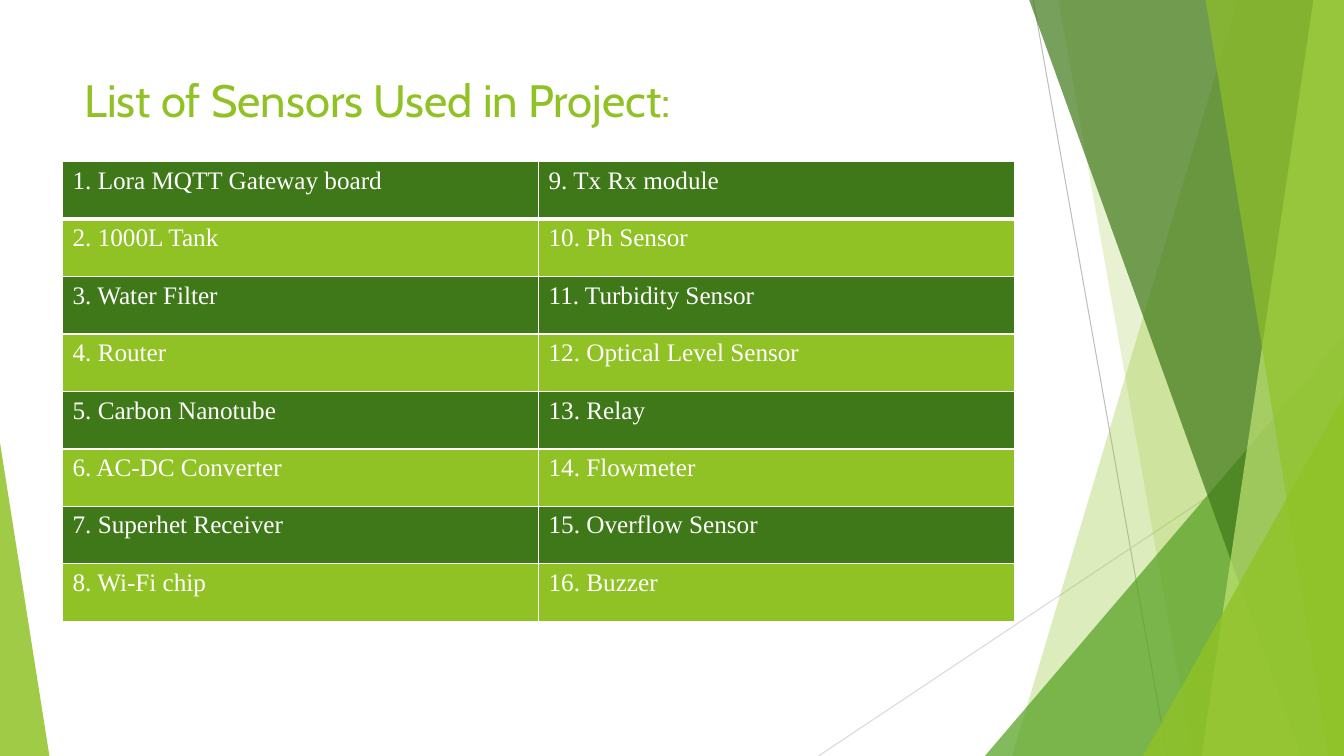
from dataclasses import dataclass

import lxml.etree
import pptx
import pptx.dml.color
import pptx.enum.shapes
import pptx.enum.text
import pptx.oxml.ns
import pptx.util


@dataclass(frozen=True)
class Theme:
    lime: str = "90C226"
    green: str = "54A021"
    forest: str = "3F7819"
    pale: str = "C0E474"
    white: str = "FFFFFF"
    title_font: str = "Cabin"
    table_font: str = "Times New Roman"
    title_size: float = 32.4
    table_size: float = 18
    thin: float = 1
    thick: float = 3


THEME = Theme()
WIDTH, HEIGHT = pptx.util.Inches(13.333), pptx.util.Inches(7.5)


# Positions are percentages of the slide's width (x) and height (y).
@dataclass(frozen=True)
class Ray:
    start: tuple[float, float]
    end: tuple[float, float]
    color: str


@dataclass(frozen=True)
class Shard:
    """A panel that slants from top_x to bottom_x and fills up to the right edge."""
    top_x: float
    bottom_x: float
    color: str
    opacity: int


@dataclass(frozen=True)
class Wedge:
    """A right triangle on the bottom edge; peak is 0 for left, 1 for right."""
    left: float
    top: float
    width: float
    peak: int
    color: str
    opacity: int


RAYS = [
    Ray((76.88, 0), (86.85, 100), "BFBFBF"),
    Ray((100, 53.73), (60.9, 100), "D9D9D9"),
]
PANELS = [
    Shard(92.1, 75.3, THEME.lime, 30),
    Shard(78.75, 88.73, THEME.lime, 20),
    Wedge(73.28, 44.4, 26.72, 1, THEME.green, 72),
    Shard(76.58, 96.83, THEME.forest, 70),
    Shard(97.73, 89.4, THEME.pale, 70),
    Shard(89.7, 98.85, THEME.lime, 65),
    Wedge(85.05, 52.4, 14.95, 1, THEME.lime, 80),
    Wedge(0, 58.53, 3.68, 0, THEME.lime, 85),
]
SENSORS = [
    "Lora MQTT Gateway board", "1000L Tank", "Water Filter", "Router",
    "Carbon Nanotube", "AC-DC Converter", "Superhet Receiver", "Wi-Fi chip",
    "Tx Rx module", "Ph Sensor", "Turbidity Sensor", "Optical Level Sensor",
    "Relay", "Flowmeter", "Overflow Sensor", "Buzzer",
]
COLUMNS = 2
ROWS = len(SENSORS) // COLUMNS
ROW_HEIGHT = 7.6


def across(percent: float) -> int:
    return round(WIDTH * percent / 100)


def down(percent: float) -> int:
    return round(HEIGHT * percent / 100)


def rgb(color: str) -> pptx.dml.color.RGBColor:
    return pptx.dml.color.RGBColor.from_string(color)


def add_child(parent, tag: str, **attributes: str):
    return lxml.etree.SubElement(parent, pptx.oxml.ns.qn(tag), **attributes)


def write(frame, text: str, *, font: str, size: float, color: str) -> None:
    para = frame.paragraphs[0]
    para.alignment = pptx.enum.text.PP_ALIGN.LEFT
    span = para.add_run()
    span.text = text
    span.font.name = font
    span.font.size = pptx.util.Pt(size)
    span.font.color.rgb = rgb(color)


def draw_ray(page, ray: Ray) -> None:
    (x1, y1), (x2, y2) = ray.start, ray.end
    line = page.shapes.add_connector(
        pptx.enum.shapes.MSO_CONNECTOR.STRAIGHT,
        across(x1), down(y1), across(x2), down(y2))
    line.line.color.rgb = rgb(ray.color)
    line.line.width = pptx.util.Pt(0.75)
    add_child(line._element.spPr, "a:effectLst")


def draw_panel(page, panel: Shard | Wedge) -> None:
    if isinstance(panel, Shard):
        outline = page.shapes.build_freeform(across(panel.top_x), 0)
        outline.add_line_segments(
            [(WIDTH, 0), (WIDTH, HEIGHT), (across(panel.bottom_x), HEIGHT)], close=True)
        shape = outline.convert_to_shape()
    else:
        shape = page.shapes.add_shape(
            pptx.enum.shapes.MSO_SHAPE.ISOSCELES_TRIANGLE,
            across(panel.left), down(panel.top),
            across(panel.width), down(100 - panel.top))
        shape.adjustments[0] = panel.peak
    shape.shadow.inherit = False
    shape.line.fill.background()
    shape.fill.solid()
    shape.fill.fore_color.rgb = rgb(panel.color)
    tint = shape._element.spPr.find(".//" + pptx.oxml.ns.qn("a:srgbClr"))
    add_child(tint, "a:alpha", val=str(panel.opacity * 1000))


def add_border(cell, side: str, width: float) -> None:
    properties = cell._tc.get_or_add_tcPr()
    border = add_child(properties, f"a:ln{side}", w=str(pptx.util.Pt(width)))
    add_child(add_child(border, "a:solidFill"), "a:srgbClr", val=THEME.white)


def draw_title(page) -> None:
    title = page.shapes.title
    title.left, title.top = across(5.55), down(8.93)
    title.width, title.height = across(49.8), down(10.8)
    frame = title.text_frame
    frame.word_wrap = True
    frame.auto_size = pptx.enum.text.MSO_AUTO_SIZE.NONE
    frame.vertical_anchor = pptx.enum.text.MSO_ANCHOR.TOP
    write(frame, "List of Sensors Used in Project:", font=THEME.title_font,
          size=THEME.title_size, color=THEME.lime)


def draw_sensor_table(page) -> None:
    table = page.shapes.add_table(
        ROWS, COLUMNS, across(4.65), down(21.4),
        across(70.85), down(ROW_HEIGHT * ROWS)).table
    table.first_row = table.horz_banding = False
    for index, sensor in enumerate(SENSORS):
        column, row = divmod(index, ROWS)
        cell = table.cell(row, column)
        write(cell.text_frame, f"{index + 1}. {sensor}", font=THEME.table_font,
              size=THEME.table_size, color=THEME.white)
        for side in "LRTB":
            under_first_row = (row, side) in [(0, "B"), (1, "T")]
            add_border(cell, side, THEME.thick if under_first_row else THEME.thin)
        cell.fill.solid()
        cell.fill.fore_color.rgb = rgb(THEME.lime if row % 2 else THEME.forest)


def main() -> None:
    deck = pptx.Presentation()
    deck.slide_width, deck.slide_height = WIDTH, HEIGHT
    page = deck.slides.add_slide(deck.slide_layouts.get_by_name("Title Only"))
    for ray in RAYS:
        draw_ray(page, ray)
    for panel in PANELS:
        draw_panel(page, panel)
    draw_title(page)
    draw_sensor_table(page)
    deck.save("out.pptx")


if __name__ == "__main__":
    main()
